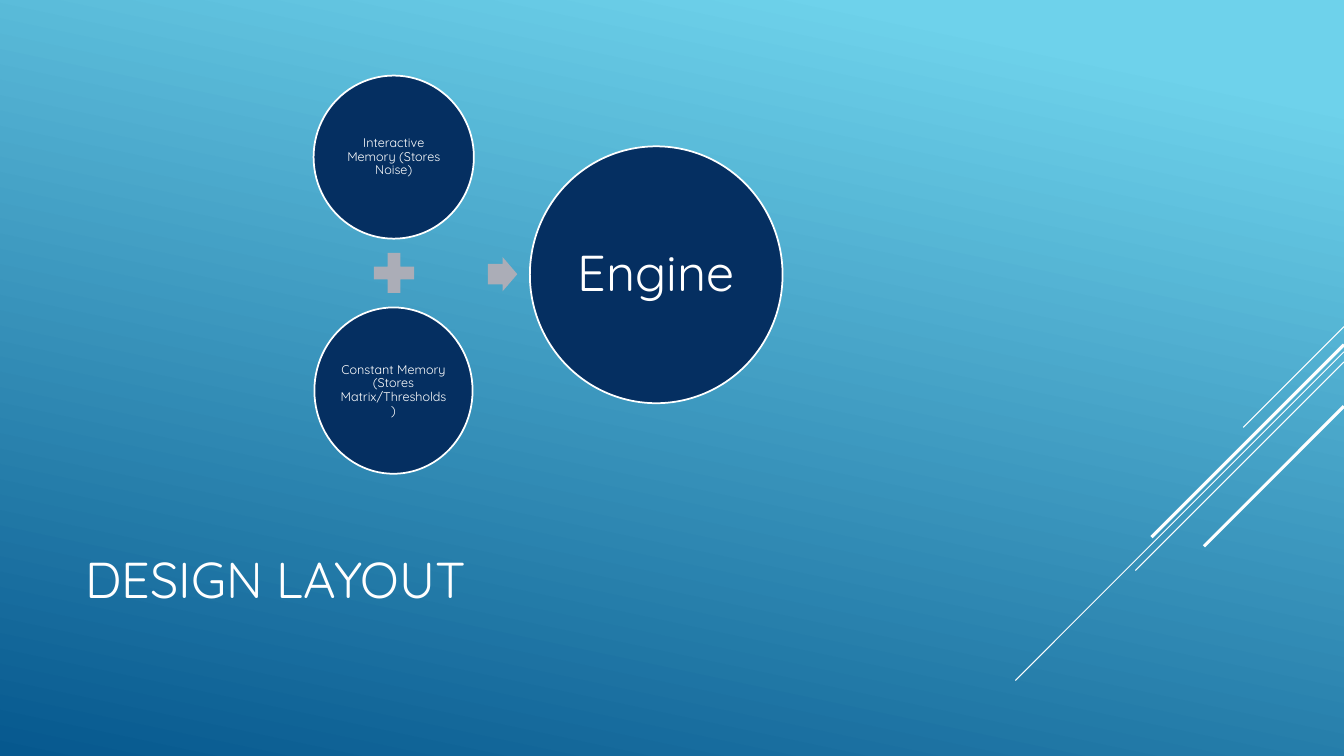
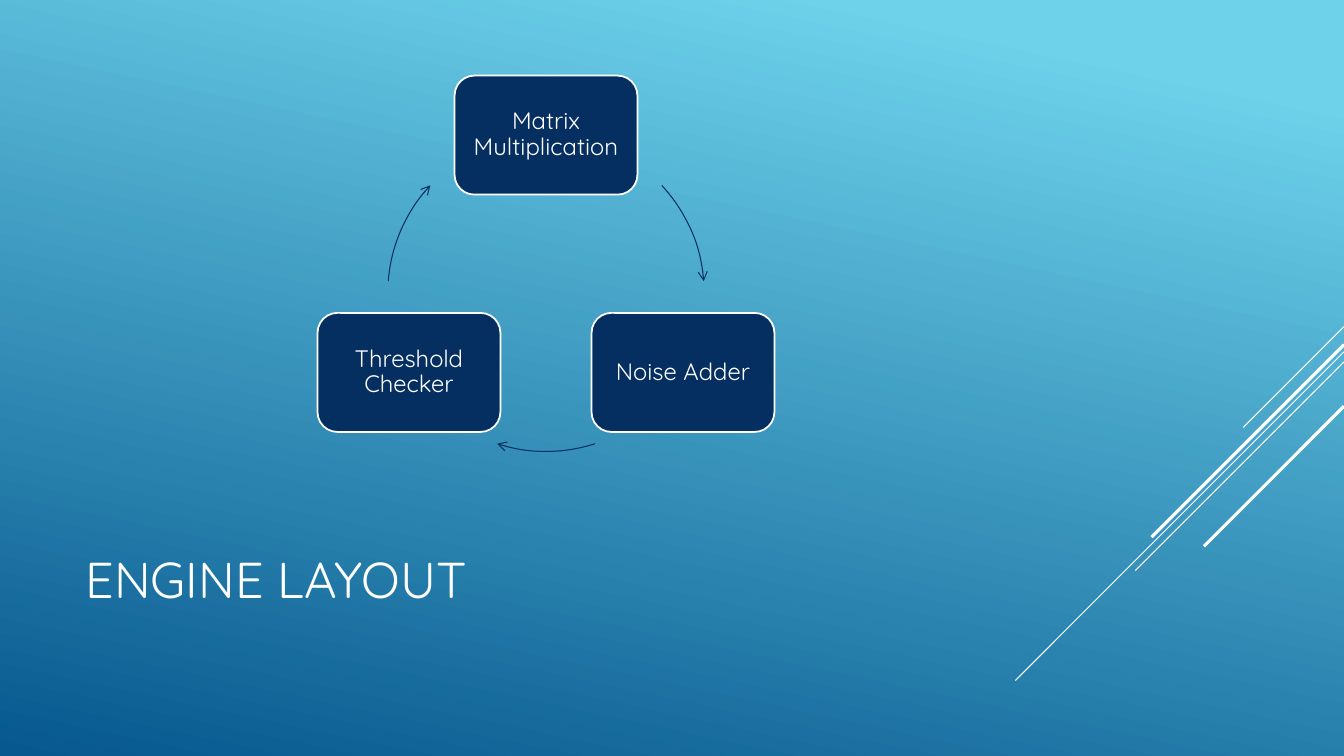
from math import cos, radians, sin

from lxml.etree import SubElement
from pptx import Presentation
from pptx.dml.color import RGBColor
from pptx.enum.shapes import MSO_CONNECTOR, MSO_SHAPE
from pptx.enum.text import MSO_ANCHOR, PP_ALIGN
from pptx.oxml.ns import qn
from pptx.util import Pt

SLIDE_WIDTH, SLIDE_HEIGHT = 960, 540
FONT = "Quicksand"
WHITE = RGBColor(0xFF, 0xFF, 0xFF)
NAVY = RGBColor(0x05, 0x2F, 0x61)
GREY = RGBColor(0xAB, 0xAD, 0xB7)
SKY = RGBColor(0x6E, 0xD2, 0xEB)
OCEAN = RGBColor(0x06, 0x58, 0x8E)

BACKGROUND_STOPS = [(0.1, SKY), (1, OCEAN)]
STRIPES = [
    (233.3, 72, 0.75),
    (251.3, 234.7, 0.75),
    (258.5, 149, 0.75),
    (246.2, 137.5, 2.25),
    (290.2, 100, 2.25),
]

MEMORIES = [
    ("Interactive Memory (Stores Noise)", (224, 54, 114.5, 116.5)),
    ("Constant Memory (Stores Matrix/Thresholds)", (224.6, 219.6, 113, 118.8)),
]
ENGINE_BOX = (378.5, 104.5, 180.5, 183.5)
PLUS_BOX = (262, 175.5, 39, 39)
ARROW_BOX = (348.5, 183.6, 21, 24.5)

RING_X, RING_Y, RING_RADIUS = 390, 209.5, 113
CARD_WIDTH, CARD_HEIGHT = 130.6, 85
CYCLE = [
    ("Matrix Multiplication", -90, (317, 355.6)),
    ("Noise Adder", 30, (72, 108)),
    ("Threshold Checker", 150, (184.4, 223)),
]


def write_text(shape, text, *, size, align=PP_ALIGN.CENTER, inset=None, spacing=None):
    frame = shape.text_frame
    frame.word_wrap = True
    frame.vertical_anchor = MSO_ANCHOR.MIDDLE
    if inset is not None:
        frame.margin_left = frame.margin_right = Pt(inset)
        frame.margin_top = frame.margin_bottom = Pt(inset)
    paragraph = frame.paragraphs[0]
    paragraph.alignment = align
    if spacing is not None:
        paragraph.line_spacing = spacing
    run = paragraph.add_run()
    run.text = text
    run.font.name = FONT
    run.font.size = Pt(size)
    run.font.color.rgb = WHITE


def add_figure(slide, kind, box, fill=None, line=None, weight=1.25):
    figure = slide.shapes.add_shape(kind, *map(Pt, box))
    figure.shadow.inherit = False
    if fill is None:
        figure.fill.background()
    else:
        figure.fill.solid()
        figure.fill.fore_color.rgb = fill
    if line is None:
        figure.line.fill.background()
    else:
        figure.line.color.rgb = line
        figure.line.width = Pt(weight)
    return figure


def add_node(slide, kind, box, label, size, inset):
    node = add_figure(slide, kind, box, NAVY, WHITE)
    write_text(node, label, size=size, inset=inset, spacing=0.9)


def add_cycle_arrow(slide, angles):
    ring = (RING_X - RING_RADIUS, RING_Y - RING_RADIUS, 2 * RING_RADIUS, 2 * RING_RADIUS)
    arc = add_figure(slide, MSO_SHAPE.ARC, ring, line=NAVY, weight=0.75)
    for index, degrees in enumerate(angles):
        arc.adjustments[index] = degrees * 0.6
    SubElement(arc.line._get_or_add_ln(), qn("a:tailEnd"), type="arrow")


def add_stripe(slide, top, run, weight):
    stripe = slide.shapes.add_connector(
        MSO_CONNECTOR.STRAIGHT,
        Pt(SLIDE_WIDTH), Pt(top), Pt(SLIDE_WIDTH - run), Pt(top + run),
    )
    stripe.line.color.rgb = WHITE
    stripe.line.width = Pt(weight)
    SubElement(stripe._element.spPr, qn("a:effectLst"))


def add_titled_slide(deck, title):
    slide = deck.slides.add_slide(deck.slide_layouts[6])
    fill = slide.background.fill
    fill.gradient()
    fill.gradient_angle = 258
    for stop, (position, color) in zip(fill.gradient_stops, BACKGROUND_STOPS):
        stop.position = position
        stop.color.rgb = color
    for top, run, weight in STRIPES:
        add_stripe(slide, top, run, weight)
    heading = slide.shapes.add_textbox(Pt(54), Pt(353.5), Pt(672), Pt(118.8))
    write_text(heading, title, size=36, align=PP_ALIGN.LEFT)
    return slide


def build_design_layout(deck):
    slide = add_titled_slide(deck, "DESIGN LAYOUT")
    for label, box in MEMORIES:
        add_node(slide, MSO_SHAPE.OVAL, box, label, 9, 0.9)
    add_figure(slide, MSO_SHAPE.MATH_PLUS, PLUS_BOX, GREY)
    arrow = add_figure(slide, MSO_SHAPE.RIGHT_ARROW, ARROW_BOX, GREY)
    arrow.adjustments[0] = 0.6
    add_node(slide, MSO_SHAPE.OVAL, ENGINE_BOX, "Engine", 36, 3.6)


def build_engine_layout(deck):
    slide = add_titled_slide(deck, "ENGINE LAYOUT")
    for label, position, arrow_angles in CYCLE:
        left = RING_X + RING_RADIUS * cos(radians(position)) - CARD_WIDTH / 2
        top = RING_Y + RING_RADIUS * sin(radians(position)) - CARD_HEIGHT / 2
        card_box = (left, top, CARD_WIDTH, CARD_HEIGHT)
        add_node(slide, MSO_SHAPE.ROUNDED_RECTANGLE, card_box, label, 17, 5)
        add_cycle_arrow(slide, arrow_angles)


def main():
    deck = Presentation()
    deck.slide_width = Pt(SLIDE_WIDTH)
    deck.slide_height = Pt(SLIDE_HEIGHT)
    build_design_layout(deck)
    build_engine_layout(deck)
    deck.save("out.pptx")


if __name__ == "__main__":
    main()
